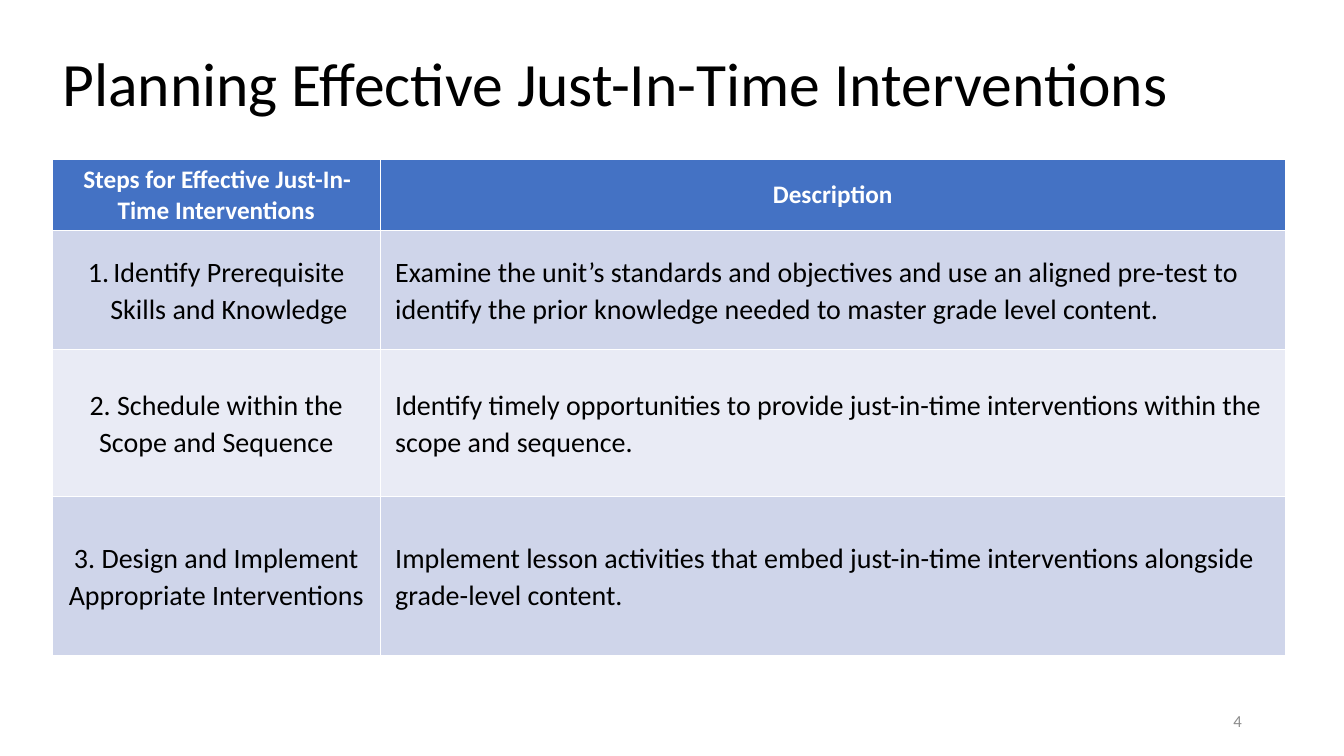
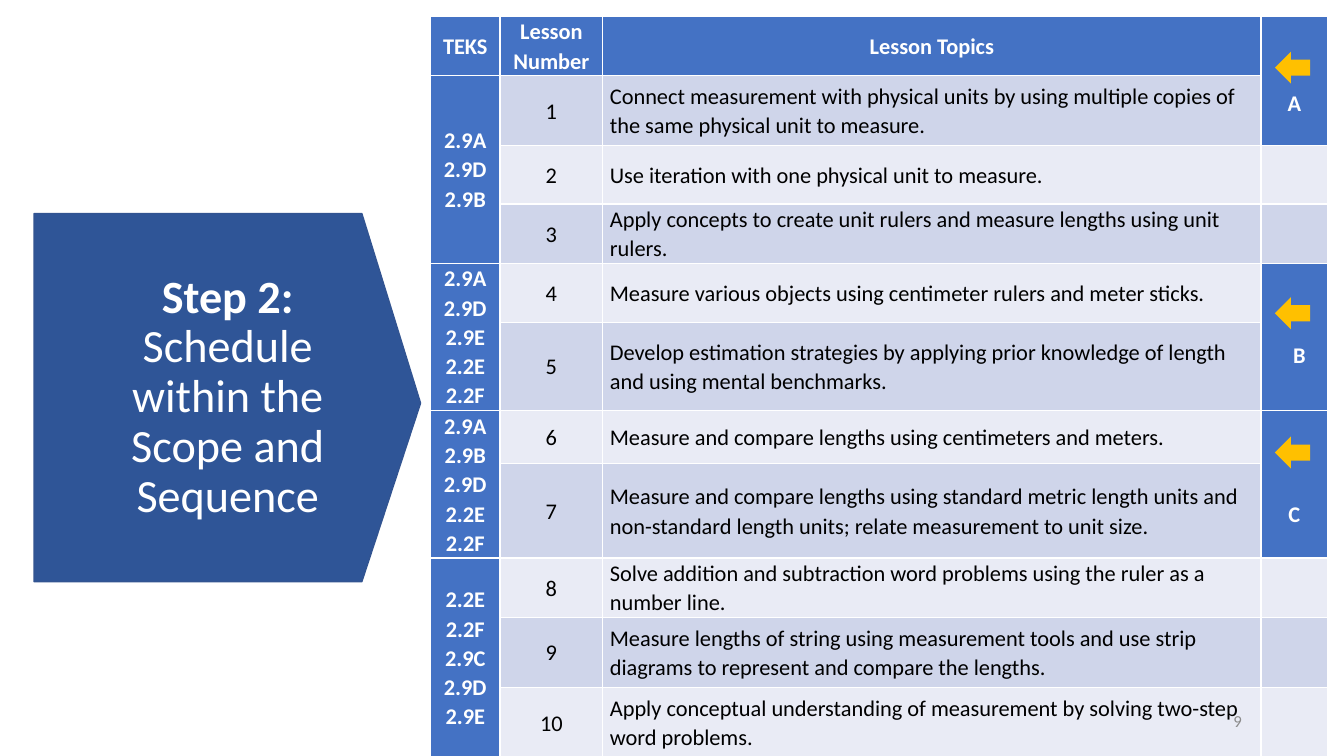
import pptx
import pptx.util
import pptx.dml.color
import pptx.enum.shapes
import pptx.enum.text
import pptx.oxml

Cm = pptx.util.Cm
Pt = pptx.util.Pt
SHAPE = pptx.enum.shapes.MSO_SHAPE
ALIGN = pptx.enum.text.PP_ALIGN
ANCHOR = pptx.enum.text.MSO_ANCHOR

FONT = "Calibri"
BLACK, WHITE, GREY = "000000", "FFFFFF", "8C8C8C"
BLUE, NAVY, EDGE, GOLD = "4472C4", "2F5597", "325491", "FFC000"
BANDS = ("E9EBF5", "CFD5EA")
THIN = (0.18, 0, 0.18, 0)
WIDE = (0.38, 0.38, 0.38, 0.38)
BASE = (0.25, 0.13, 0.25, 0.13)

STEPS = [
    ("Identify Prerequisite Skills and Knowledge",
     "Examine the unit’s standards and objectives and use an aligned pre-test "
     "to identify the prior knowledge needed to master grade level content."),
    ("2. Schedule within the Scope and Sequence",
     "Identify timely opportunities to provide just-in-time interventions "
     "within the scope and sequence."),
    ("3. Design and Implement Appropriate Interventions",
     "Implement lesson activities that embed just-in-time interventions "
     "alongside grade-level content."),
]
TOPICS = [
    "Connect measurement with physical units by using multiple copies of "
    "the same physical unit to measure.",
    "Use iteration with one physical unit to measure.",
    "Apply concepts to create unit rulers and measure lengths using unit rulers.",
    "Measure various objects using centimeter rulers and meter sticks.",
    "Develop estimation strategies by applying prior knowledge of length "
    "and using mental benchmarks.",
    "Measure and compare lengths using centimeters and meters.",
    "Measure and compare lengths using standard metric length units and "
    "non-standard length units; relate measurement to unit size.",
    "Solve addition and subtraction word problems using the ruler as a number line.",
    "Measure lengths of string using measurement tools and use strip "
    "diagrams to represent and compare the lengths.",
    "Apply conceptual understanding of measurement by solving two-step word problems.",
]
CODES = [
    (1, 3, "2.9A 2.9D 2.9B"),
    (4, 5, "2.9A 2.9D 2.9E 2.2E 2.2F"),
    (6, 7, "2.9A 2.9B 2.9D 2.2E 2.2F"),
    (8, 10, "2.2E 2.2F 2.9C 2.9D 2.9E"),
]
MARKS = [
    (0, 1, "A", (0.18, 0, 0.18, 0.71), 1.3),
    (4, 5, "B", (0.43, 0, 0.18, 1.02), 7.49),
    (6, 7, "C", (0.18, 0, 0.18, 0.73), 11),
]


def tint(code):
    return pptx.dml.color.RGBColor.from_string(code)


def paint(item, code):
    item.fill.solid()
    item.fill.fore_color.rgb = tint(code)


def add_run(para, text, size, code, bold=False):
    run = para.add_run()
    run.text = text
    font = run.font
    font.name, font.size, font.bold = FONT, Pt(size), bold
    font.color.rgb = tint(code)


def add_title(slide, box, runs, size, code, align):
    title = slide.shapes.title
    title.left, title.top, title.width, title.height = map(Cm, box)
    frame = title.text_frame
    frame.word_wrap = True
    frame.auto_size = pptx.enum.text.MSO_AUTO_SIZE.NONE
    frame.vertical_anchor = ANCHOR.MIDDLE
    para = frame.paragraphs[0]
    para.alignment, para.line_spacing = align, 0.9
    for text, bold in runs:
        add_run(para, text, size, code, bold)


def add_page(slide, text):
    frame = slide.shapes.add_textbox(Cm(23.93), Cm(17.65), Cm(7.62), Cm(1.02)).text_frame
    frame.word_wrap = True
    frame.vertical_anchor = ANCHOR.MIDDLE
    para = frame.paragraphs[0]
    para.alignment = ALIGN.RIGHT
    add_run(para, text, 12, GREY)


def add_grid(slide, left, top, cols, rows):
    shape = slide.shapes.add_table(len(rows), len(cols), Cm(left), Cm(top),
                                   Cm(sum(cols)), Cm(sum(rows)))
    grid = shape.table
    for col, width in zip(grid.columns, cols):
        col.width = Cm(width)
    for row, height in zip(grid.rows, rows):
        row.height = Cm(height)
    for row in range(len(rows)):
        for col in range(len(cols)):
            paint(grid.cell(row, col), BANDS[row % 2] if row else BLUE)
    return grid


def fill_cell(cell, lines, size, code=BLACK, bold=False, align=ALIGN.CENTER,
              pads=THIN, space=1.07, anchor=ANCHOR.MIDDLE):
    cell.vertical_anchor = anchor
    (cell.margin_left, cell.margin_top,
     cell.margin_right, cell.margin_bottom) = map(Cm, pads)
    frame = cell.text_frame
    for spot, line in enumerate(lines):
        para = frame.add_paragraph() if spot else frame.paragraphs[0]
        para.alignment, para.line_spacing = align, space
        add_run(para, line, size, code, bold)


def join_cells(grid, col, first, last):
    cell = grid.cell(first, col)
    cell.merge(grid.cell(last, col))
    paint(cell, BLUE)
    return cell


def add_count(para):
    props = para._p.get_or_add_pPr()
    props.set("marL", str(Cm(0.64)))
    props.set("indent", str(-Cm(0.64)))
    props.append(pptx.oxml.parse_xml(
        '<a:buAutoNum xmlns:a="http://schemas.openxmlformats.org/drawingml/2006/main"'
        ' type="arabicPeriod"/>'))


def add_banner(slide):
    spots = [(9.12, 5.38), (10.6, 10.16), (9.12, 14.66), (0.86, 14.66), (0.86, 5.38)]
    spots = [(Cm(x), Cm(y)) for x, y in spots]
    path = slide.shapes.build_freeform(*spots[0])
    path.add_line_segments(spots[1:], close=True)
    shape = path.convert_to_shape()
    shape.shadow.inherit = False
    paint(shape, NAVY)
    shape.line.color.rgb = tint(EDGE)
    shape.line.width = Pt(1)
    slide.shapes._spTree.insert(2, shape._element)


def add_arrow(slide, top):
    arrow = slide.shapes.add_shape(SHAPE.LEFT_ARROW, Cm(32.13), Cm(top), Cm(0.89), Cm(0.81))
    arrow.shadow.inherit = False
    paint(arrow, GOLD)
    arrow.line.fill.background()


def plan_slide(slide):
    add_title(slide, (1.32, 0.33, 29.21, 3.68),
              [("Planning Effective Just-In-Time Interventions", False)],
              44, BLACK, ALIGN.LEFT)
    add_page(slide, "4")
    grid = add_grid(slide, 1.32, 4.01, (8.26, 22.81), (1.8, 3, 3.71, 3.99))
    heads = ("Steps for Effective Just-In-Time Interventions", "Description")
    for col, head in enumerate(heads):
        fill_cell(grid.cell(0, col), [head], 18, WHITE, True, pads=BASE, space=1.0)
    for row, (step, about) in enumerate(STEPS, 1):
        fill_cell(grid.cell(row, 0), [step], 20)
        fill_cell(grid.cell(row, 1), [about], 20, align=ALIGN.LEFT, pads=WIDE)
    add_count(grid.cell(1, 0).text_frame.paragraphs[0])


def scope_slide(slide):
    add_banner(slide)
    add_title(slide, (2.08, 6.48, 7.32, 7.09),
              [("Step 2:", True), (" Schedule within the Scope and Sequence", False)],
              33, WHITE, ALIGN.CENTER)
    grid = add_grid(slide, 10.85, 0.41, (1.75, 2.59, 16.59, 1.68),
                    (1.49, 1.77, 1.47, 1.49, 1.49, 2.22, 1.34, 2.38, 1.49, 1.77, 1.77))
    for col, head in enumerate(("TEKS", "Lesson Number", "Lesson Topics")):
        fill_cell(grid.cell(0, col), [head], 16, WHITE, True)
    for row, topic in enumerate(TOPICS, 1):
        fill_cell(grid.cell(row, 1), [str(row)], 16)
        fill_cell(grid.cell(row, 2), [topic], 16, align=ALIGN.LEFT)
    for first, last, codes in CODES:
        fill_cell(join_cells(grid, 0, first, last), codes.split(), 16, WHITE, True)
    for first, last, mark, pads, top in MARKS:
        fill_cell(join_cells(grid, 3, first, last), [mark], 16, WHITE, True,
                  pads=pads, anchor=ANCHOR.BOTTOM)
        add_arrow(slide, top)
    add_page(slide, "9")


def main():
    deck = pptx.Presentation()
    deck.slide_width, deck.slide_height = Cm(33.87), Cm(19.05)
    for build in (plan_slide, scope_slide):
        build(deck.slides.add_slide(deck.slide_layouts[5]))
    deck.save("out.pptx")


if __name__ == "__main__":
    main()
